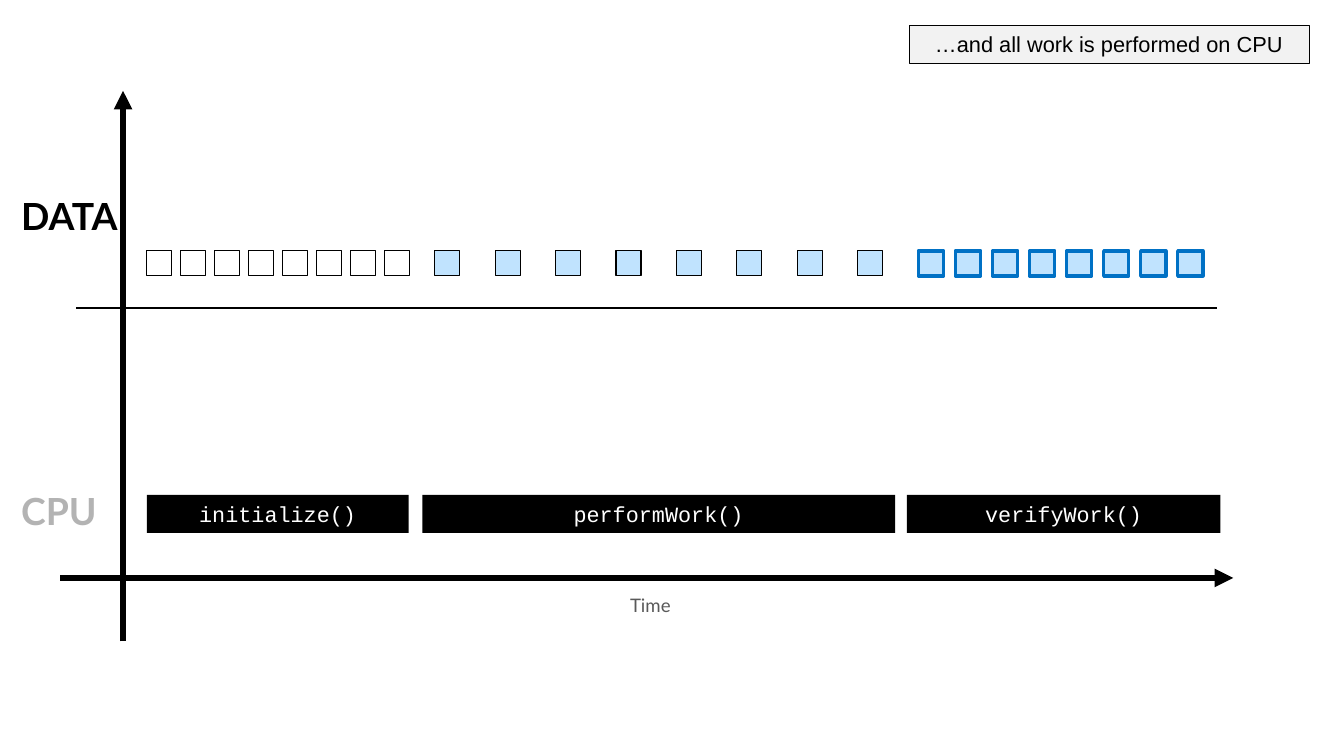
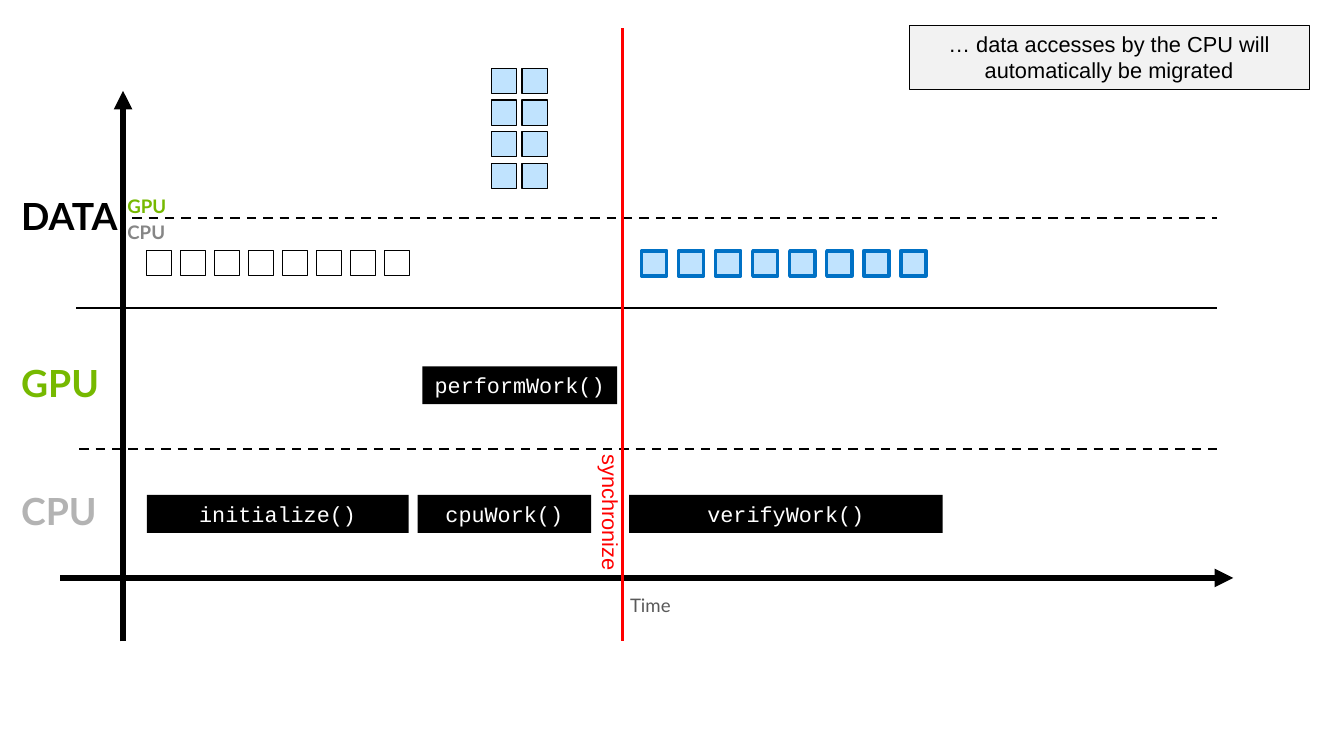
"""Build two timeline slides: work on the CPU only, and data migration between GPU and CPU."""
from lxml import etree
from pptx import Presentation
from pptx.dml.color import RGBColor
from pptx.enum.dml import MSO_LINE
from pptx.enum.shapes import MSO_CONNECTOR, MSO_SHAPE
from pptx.enum.text import MSO_ANCHOR, PP_ALIGN
from pptx.oxml.ns import qn
from pptx.util import Cm, Pt

RECTANGLE, STRAIGHT, DASH = MSO_SHAPE.RECTANGLE, MSO_CONNECTOR.STRAIGHT, MSO_LINE.DASH
LEFT, CENTER = PP_ALIGN.LEFT, PP_ALIGN.CENTER
TOP, MIDDLE, BOTTOM = MSO_ANCHOR.TOP, MSO_ANCHOR.MIDDLE, MSO_ANCHOR.BOTTOM
colour = RGBColor.from_string

BLACK, WHITE, RED, GREEN = "000000", "FFFFFF", "FF0000", "76B900"
PALE_BLUE, BLUE, PALE_GREY = "C0E3FE", "0071C5", "F2F2F2"
CPU_GREY, SMALL_GREY, TIME_GREY = "B3B3B3", "868686", "595959"

ROW_LABEL = {
    "frame": {"vertical_anchor": BOTTOM, "word_wrap": False},
    "para": {"alignment": LEFT, "line_spacing": 0.9},
    "font": {"name": "Lato", "size": Pt(24), "bold": True},
}
SMALL_LABEL = {**ROW_LABEL, "font": {"name": "Lato", "size": Pt(12), "bold": True}}
TIME_LABEL = {
    "frame": ROW_LABEL["frame"],
    "para": {"alignment": CENTER, "line_spacing": 0.9},
    "font": {"name": "Lato", "size": Pt(12)},
}
CODE = {
    "frame": {"vertical_anchor": MIDDLE, "word_wrap": True},
    "para": {"alignment": CENTER},
    "font": {"name": "Courier New", "size": Pt(14)},
}
CALLOUT = {
    "frame": {"vertical_anchor": TOP, "word_wrap": True},
    "para": {"alignment": CENTER},
    "font": {"name": "Arial", "size": Pt(14)},
}
SYNC_LABEL = {
    "frame": {"vertical_anchor": TOP, "word_wrap": False},
    "para": {"alignment": LEFT},
    "font": {"name": "Arial", "size": Pt(14)},
}

SQUARE, DATA_TOP = 0.57, 5.69
GPU_TOP, CPU_TOP, BLOCK_HEIGHT = 8.31, 11.23, 0.86
AXIS_X, AXIS_BOTTOM, SYNC_X = 2.79, 14.55, 14.12


def add_box(shapes, place, text="", style=None, ink=BLACK, fill=None, line=None, width=0.75):
    left, top, wide, high = (Cm(length) for length in place)
    if fill or line:
        box = shapes.add_shape(RECTANGLE, left, top, wide, high)
        box.shadow.inherit = False
    else:
        box = shapes.add_textbox(left, top, wide, high)
    if fill:
        box.fill.solid()
        box.fill.fore_color.rgb = colour(fill)
    else:
        box.fill.background()
    if line:
        box.line.color.rgb = colour(line)
        box.line.width = Pt(width)
    else:
        box.line.fill.background()
    if text:
        para = box.text_frame.paragraphs[0]
        span = para.add_run()
        span.text = text
        span.font.color.rgb = colour(ink)
        targets = {"frame": box.text_frame, "para": para, "font": span.font}
        for part, target in targets.items():
            for name, value in style[part].items():
                setattr(target, name, value)
    return box


def add_line(shapes, start, end, ink=BLACK, width=1.5, dashed=False, arrow=False):
    line = shapes.add_connector(STRAIGHT, *(Cm(length) for length in start + end))
    line.line.color.rgb = colour(ink)
    line.line.width = Pt(width)
    if dashed:
        line.line.dash_style = DASH
    properties = line._element.spPr
    if arrow:
        outline = properties.find(qn("a:ln"))
        etree.SubElement(outline, qn("a:tailEnd"), type="triangle")
    etree.SubElement(properties, qn("a:effectLst"))


deck = Presentation()
deck.slide_width, deck.slide_height = Cm(30.48), Cm(17.15)

timelines = [
    {
        "callout": ("…and all work is performed on CPU", 0.86),
        "blocks": [
            ("initialize()", 3.33, CPU_TOP, 5.94),
            ("performWork()", 9.58, CPU_TOP, 10.72),
            ("verifyWork()", 20.57, CPU_TOP, 7.11),
        ],
        "work_grid": (9.86, DATA_TOP, 8, 1.37, 0),
        "verify_left": 20.83,
    },
    {
        "callout": ("… data accesses by the CPU will automatically be migrated", 1.45),
        "blocks": [
            ("initialize()", 3.33, CPU_TOP, 5.94),
            ("performWork()", 9.58, GPU_TOP, 4.42),
            ("cpuWork()", 9.47, CPU_TOP, 3.94),
            ("verifyWork()", 14.27, CPU_TOP, 7.11),
        ],
        "work_grid": (11.15, 1.55, 2, 0.69, 0.72),
        "verify_left": 14.55,
    },
]
pages = []

for timeline in timelines:
    page = deck.slides.add_slide(deck.slide_layouts[6])
    pages.append(page)
    shapes = page.shapes

    add_line(shapes, (AXIS_X, AXIS_BOTTOM), (AXIS_X, 2.06), width=4, arrow=True)
    add_line(shapes, (1.37, 13.11), (27.97, 13.11), width=4, arrow=True)
    add_line(shapes, (1.73, 6.99), (27.61, 6.99))
    add_box(shapes, (0.23, 4.37, 2.79, 1.17), "DATA", ROW_LABEL)
    add_box(shapes, (0.23, 11.07, 2.46, 1.17), "CPU", ROW_LABEL, CPU_GREY)
    add_box(shapes, (14, 13.36, 1.5, 0.76), "Time", TIME_LABEL, TIME_GREY)

    for text, left, top, width in timeline["blocks"]:
        add_box(shapes, (left, top, width, BLOCK_HEIGHT), text, CODE, WHITE, fill=BLACK)

    square_groups = [
        ((3.33, DATA_TOP, 8, 0.77, 0), {"line": BLACK}),
        (timeline["work_grid"], {"fill": PALE_BLUE, "line": BLACK}),
        ((timeline["verify_left"], DATA_TOP, 8, 0.84, 0),
         {"fill": PALE_BLUE, "line": BLUE, "width": 2.25}),
    ]
    for (left, top, columns, step_x, step_y), look in square_groups:
        group = shapes.add_group_shape()
        for index in range(8):
            row, column = divmod(index, columns)
            place = (left + column * step_x, top + row * step_y, SQUARE, SQUARE)
            add_box(group.shapes, place, **look)

    text, height = timeline["callout"]
    add_box(shapes, (20.62, 0.58, 9.07, height), text, CALLOUT, fill=PALE_GREY, line=BLACK)

shapes = pages[1].shapes
add_line(shapes, (1.8, 10.19), (27.69, 10.19), dashed=True)
add_line(shapes, (3, 4.95), (27.61, 4.95), dashed=True)
add_box(shapes, (0.23, 8.15, 2.46, 1.17), "GPU", ROW_LABEL, GREEN)
for text, top, ink in [("GPU", 4.34, GREEN), ("CPU", 4.93, SMALL_GREY)]:
    add_box(shapes, (2.64, top, 1.4, 0.71), text, SMALL_LABEL, ink)

sync_group = shapes.add_group_shape()
add_line(sync_group.shapes, (SYNC_X, 0.64), (SYNC_X, AXIS_BOTTOM), RED)
sync_label = add_box(sync_group.shapes, (12.22, 11.25, 3.25, 0.86), "synchronize", SYNC_LABEL, RED)
sync_label.rotation = 90

deck.save("out.pptx")
